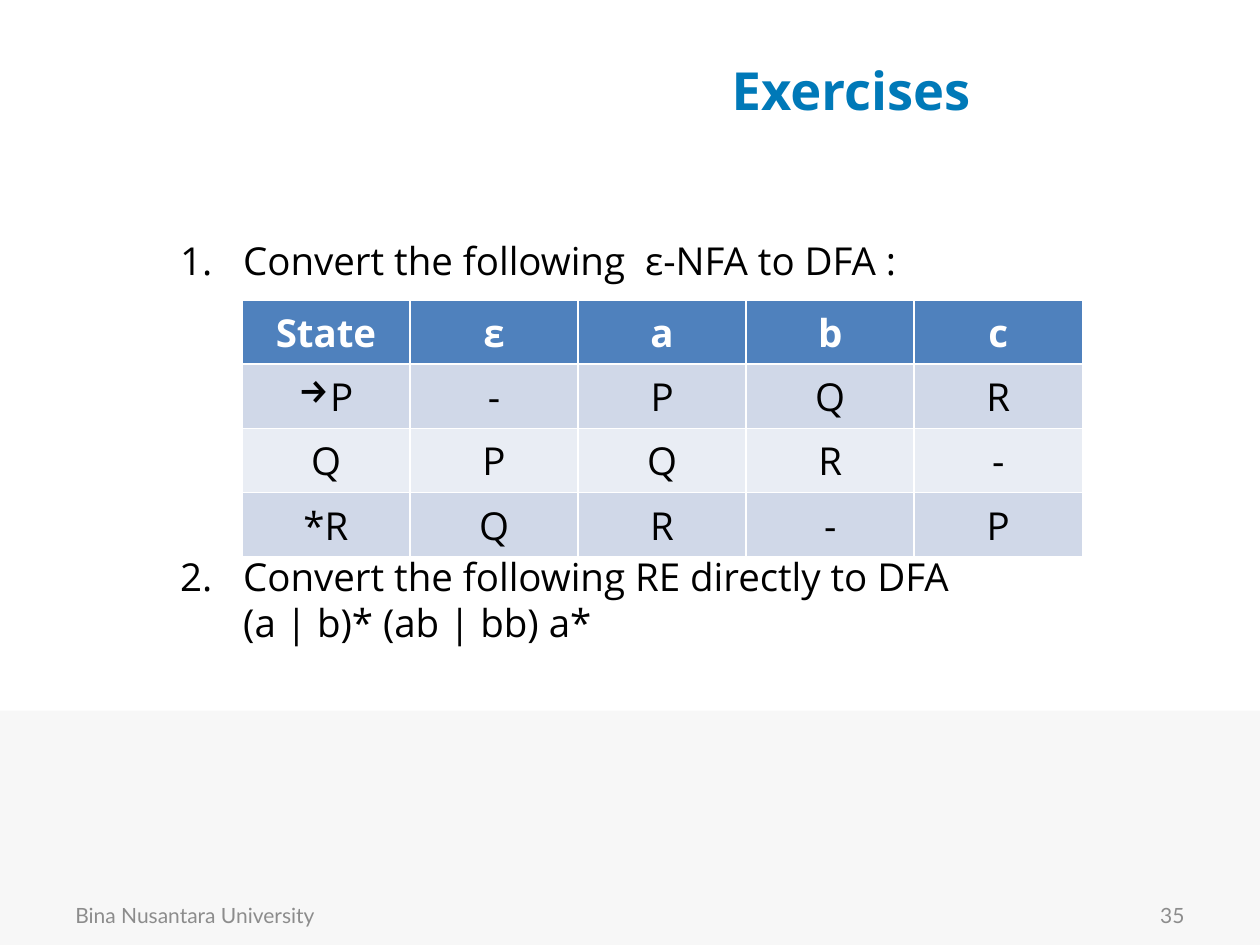
from lxml import etree
from pptx import Presentation
from pptx.dml.color import RGBColor
from pptx.enum.shapes import MSO_SHAPE
from pptx.enum.text import MSO_ANCHOR, MSO_AUTO_SIZE, PP_ALIGN
from pptx.oxml.ns import qn
from pptx.util import Inches, Pt

RECTANGLE = MSO_SHAPE.RECTANGLE
MIDDLE, TOP = MSO_ANCHOR.MIDDLE, MSO_ANCHOR.TOP
LEFT, CENTER, RIGHT = PP_ALIGN.LEFT, PP_ALIGN.CENTER, PP_ALIGN.RIGHT
NO_AUTOFIT = MSO_AUTO_SIZE.NONE

TITLE = {"name": "Open Sans", "size": Pt(30), "bold": True, "color": "0079B8"}
BODY = {"name": "Open Sans", "size": Pt(22), "bold": False, "color": "000000"}
HEADER = {**BODY, "bold": True, "color": "FFFFFF"}
FOOTER = {"name": "Lato", "size": Pt(12), "color": "8C8C8C"}

TRANSITIONS = [
    ["State", "ε", "a", "b", "c"],
    ["P", "-", "P", "Q", "R"],
    ["Q", "P", "Q", "R", "-"],
    ["*R", "Q", "R", "-", "P"],
]
ROW_FILLS = ["4F81BD", "D0D8E8", "E9EDF4", "D0D8E8"]


def rgb(value):
    """Turn a hex string into a colour."""
    return RGBColor.from_string(value)


def place(shape, left, top, width, height):
    """Move and size a shape in inches."""
    for name, value in zip(("left", "top", "width", "height"), (left, top, width, height)):
        setattr(shape, name, Inches(value))


def write(para, text, style, align=LEFT):
    """Add one formatted span to a paragraph."""
    para.alignment = align
    span = para.add_run()
    span.text = text
    for name, value in style.items():
        if name == "color":
            span.font.color.rgb = rgb(value)
        else:
            setattr(span.font, name, value)


def set_bullet(para, tag, margin, indent, **attributes):
    """Give a paragraph its indents and bullet element."""
    properties = para._p.get_or_add_pPr()
    properties.set("marL", str(Inches(margin)))
    properties.set("indent", str(Inches(indent)))
    etree.SubElement(properties, qn(tag), attributes)


def add_band(page):
    """Draw the pale band at the foot of the page."""
    band = page.shapes.add_shape(RECTANGLE, 0, Inches(5.64), Inches(10), Inches(1.86))
    band.shadow.inherit = False
    band.fill.solid()
    band.fill.fore_color.rgb = rgb("F7F7F7")
    band.line.fill.background()


def fill_title(page):
    """Place and write the title."""
    title = page.shapes.title
    place(title, 3.67, 0.17, 6.17, 1.08)
    title.text_frame.vertical_anchor = MIDDLE
    write(title.text_frame.paragraphs[0], "Exercises", TITLE, CENTER)


def fill_exercises(page):
    """Write the numbered exercises, leaving room for the table."""
    body = page.placeholders[1]
    place(body, 1.33, 1.83, 8.17, 4.87)
    frame = body.text_frame
    frame.auto_size = NO_AUTOFIT
    frame.vertical_anchor = TOP
    numbered = {"tag": "a:buAutoNum", "margin": 0.5, "indent": -0.5, "type": "arabicPeriod"}
    lines = [
        ("Convert the following  ε-NFA to DFA :", 0, numbered),
        ("Convert the following RE directly to DFA", 154, {**numbered, "startAt": "2"}),
        ("(a | b)* (ab | bb) a*", 0, {"tag": "a:buNone", "margin": 0.5, "indent": 0}),
    ]
    for index, (text, gap, bullet) in enumerate(lines):
        para = frame.add_paragraph() if index else frame.paragraphs[0]
        para.space_before = Pt(gap)
        set_bullet(para, **bullet)
        write(para, text, BODY)


def add_transitions(page):
    """Add the state transition table."""
    rows, columns = len(TRANSITIONS), len(TRANSITIONS[0])
    frame = page.shapes.add_table(
        rows, columns, Inches(1.92), Inches(2.38), Inches(6.67), Inches(rows * 0.51))
    table = frame.table
    for row, (values, fill) in enumerate(zip(TRANSITIONS, ROW_FILLS)):
        for column, value in enumerate(values):
            cell = table.cell(row, column)
            cell.fill.solid()
            cell.fill.fore_color.rgb = rgb(fill)
            para = cell.text_frame.paragraphs[0]
            if (row, column) == (1, 0):
                set_bullet(para, "a:buChar", 0.25, -0.25, char="→")
            write(para, value, BODY if row else HEADER, CENTER)


def add_footer(page, left, text, align):
    """Add one footer text box."""
    box = page.shapes.add_textbox(Inches(left), Inches(7.06), Inches(2.33), Inches(0.4))
    box.text_frame.word_wrap = True
    box.text_frame.vertical_anchor = MIDDLE
    write(box.text_frame.paragraphs[0], text, FOOTER, align)


def main():
    """Build and save the deck."""
    deck = Presentation()
    deck.slide_width, deck.slide_height = Inches(10), Inches(7.5)
    page = deck.slides.add_slide(deck.slide_layouts[1])
    add_band(page)
    fill_title(page)
    fill_exercises(page)
    add_footer(page, 0.5, "Bina Nusantara University", LEFT)
    add_footer(page, 7.17, "35", RIGHT)
    add_transitions(page)
    deck.save("out.pptx")


if __name__ == "__main__":
    main()
